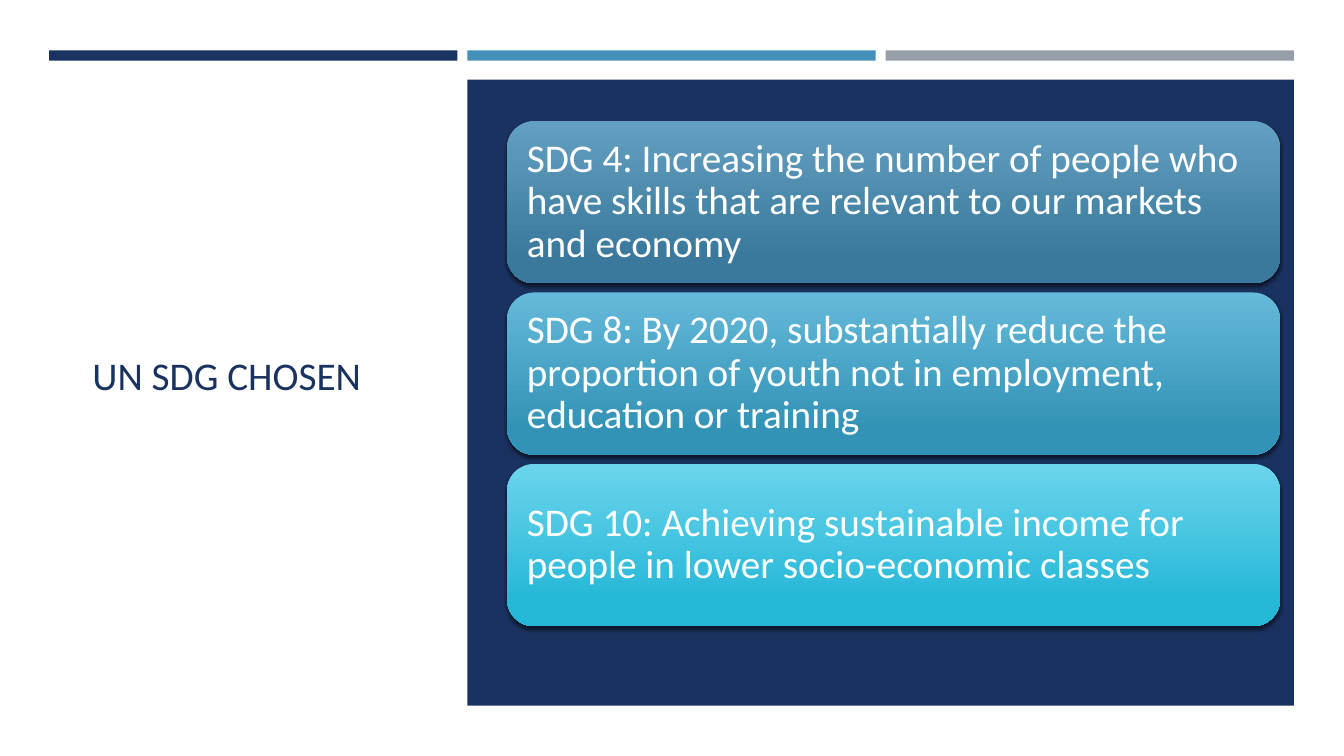
"""Build the slide that lists the chosen UN Sustainable Development Goals."""
from lxml import etree
from pptx import Presentation
from pptx import util as u
from pptx.dml.color import RGBColor
from pptx.enum import shapes, text
from pptx.oxml import ns

NAVY = RGBColor(0x1A, 0x32, 0x60)
BLUE = RGBColor(0x45, 0x90, 0xB8)
GREY = RGBColor(0x96, 0x9F, 0xA7)
WHITE = RGBColor(0xFF, 0xFF, 0xFF)
STEEL = RGBColor(0x63, 0x9F, 0xC1), RGBColor(0x3A, 0x79, 0x9B)
SKY = RGBColor(0x65, 0xB9, 0xD9), RGBColor(0x33, 0x93, 0xB6)
CYAN = RGBColor(0x6B, 0xD4, 0xEC), RGBColor(0x26, 0xB8, 0xD7)

GOALS = [
    ("SDG 4: Increasing the number of people who have skills that are "
     "relevant to our markets and economy", STEEL),
    ("SDG 8: By 2020, substantially reduce the proportion of youth not in "
     "employment, education or training", SKY),
    ("SDG 10: Achieving sustainable income for people in lower "
     "socio-economic classes", CYAN),
]
MARGIN, COLUMN, COLUMN_STEP = 1.24, 10.29, 10.54
CARD_TOP, CARD_STEP = 3.05, 4.32


def write(holder, words, size=28, color=WHITE, font="Calibri", inset=0.3, spacing=1.0):
    """Fill a shape or text box with one left-aligned, centred-in-height paragraph."""
    frame = holder.text_frame
    frame.word_wrap = True
    frame.vertical_anchor = text.MSO_ANCHOR.MIDDLE
    frame.margin_left = frame.margin_right = u.Cm(inset)
    frame.margin_top = frame.margin_bottom = u.Cm(inset)
    paragraph = frame.paragraphs[0]
    paragraph.alignment = text.PP_ALIGN.LEFT
    paragraph.line_spacing = spacing
    run = paragraph.add_run()
    run.text = words
    run.font.size = u.Pt(size)
    run.font.name = font
    run.font.color.rgb = color


def add_block(slide, left, top, width, height, color=None,
              outline=shapes.MSO_SHAPE.RECTANGLE):
    """Add a borderless shape, filled when a colour is given."""
    block = slide.shapes.add_shape(
        outline, u.Cm(left), u.Cm(top), u.Cm(width), u.Cm(height))
    block.shadow.inherit = False
    block.line.fill.background()
    if color is not None:
        block.fill.solid()
        block.fill.fore_color.rgb = color
    return block


def add_shadow(block):
    """Give a shape a soft shadow that falls straight down."""
    effects = block.element.spPr.find(ns.qn("a:effectLst"))
    shadow = etree.SubElement(
        effects, ns.qn("a:outerShdw"), blurRad=str(u.Pt(3)), dist=str(u.Pt(2)),
        dir="5400000", algn="ctr", rotWithShape="0")
    black = etree.SubElement(shadow, ns.qn("a:srgbClr"), val="000000")
    etree.SubElement(black, ns.qn("a:alpha"), val="55000")


def add_goal_card(slide, top, goal, shades):
    """Add a rounded card with a vertical gradient and the wording of a goal."""
    card = add_block(slide, 12.78, top, 19.48, 4.09,
                     outline=shapes.MSO_SHAPE.ROUNDED_RECTANGLE)
    card.fill.gradient()
    card.fill.gradient_angle = 270
    for stop, shade, position in zip(card.fill.gradient_stops, shades, (0, 0.84)):
        stop.color.rgb = shade
        stop.position = position
    add_shadow(card)
    write(card, goal, spacing=0.9)


def main():
    """Create the presentation and save it."""
    deck = Presentation()
    deck.slide_width, deck.slide_height = u.Cm(33.87), u.Cm(19.05)
    slide = deck.slides.add_slide(deck.slide_layouts[6])
    slide.background.fill.solid()
    slide.background.fill.fore_color.rgb = WHITE

    title = slide.shapes.add_textbox(u.Cm(2.08), u.Cm(2.9), u.Cm(8.48), u.Cm(13.08))
    write(title, "UN SDG CHOSEN", color=NAVY, inset=0.25)

    for column, color in enumerate((NAVY, BLUE, GREY)):
        add_block(slide, MARGIN + column * COLUMN_STEP, 1.27, COLUMN, 0.26, color)
    add_block(slide, MARGIN + COLUMN_STEP, 2.01, COLUMN_STEP + COLUMN, 15.9 - 0.13, NAVY)

    for row, (goal, shades) in enumerate(GOALS):
        add_goal_card(slide, CARD_TOP + row * CARD_STEP, goal, shades)

    deck.save("out.pptx")


if __name__ == "__main__":
    main()
